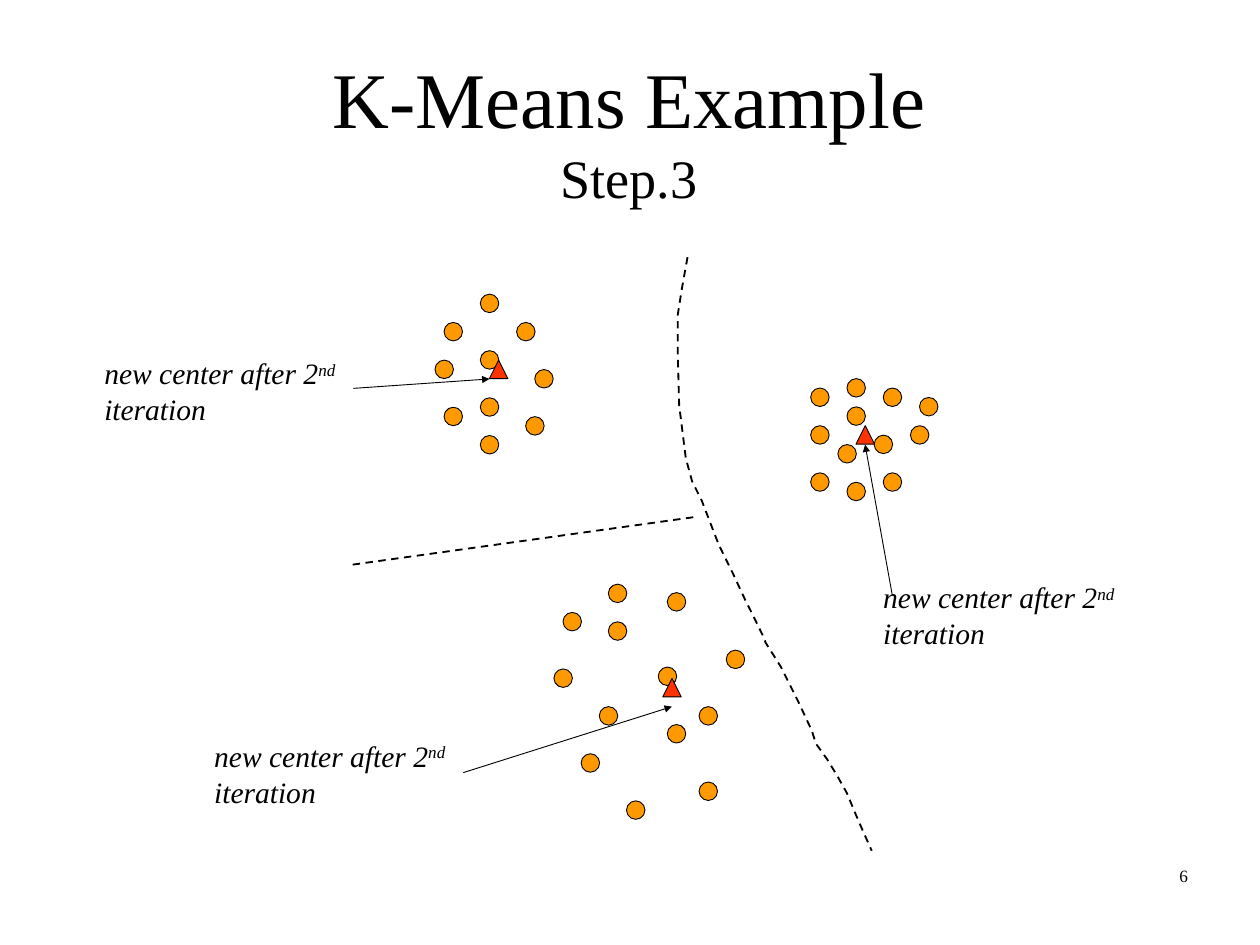
import lxml.etree
import pptx
import pptx.dml.color
import pptx.enum.dml
import pptx.enum.shapes
import pptx.enum.text
import pptx.oxml.ns
import pptx.util

Cm = pptx.util.Cm
Pt = pptx.util.Pt
SHAPE = pptx.enum.shapes.MSO_SHAPE
ALIGN = pptx.enum.text.PP_ALIGN
ANCHOR = pptx.enum.text.MSO_ANCHOR
DASH = pptx.enum.dml.MSO_LINE.DASH

BLACK = pptx.dml.color.RGBColor(0x00, 0x00, 0x00)
ORANGE = pptx.dml.color.RGBColor(0xFF, 0x99, 0x00)
RED = pptx.dml.color.RGBColor(0xFF, 0x33, 0x00)
FONT = "Times New Roman"

# Data points sit on a fine grid; a marker spans two steps
STEP_X, STEP_Y = 0.26, 0.27
MARKER = 0.53

# Each cluster: origin in cm, then grid positions of its points, center and arrow
CLUSTERS = [
    {"origin": (12.47, 8.43), "center": (6, 7), "arrow": ((-9, 10), (6, 9)),
     "label": (2.74, 10.06),
     "points": [(5, 0), (1, 3), (9, 3), (5, 6), (0, 7), (11, 8), (5, 11),
                (5, 15), (1, 12), (10, 13)]},
    {"origin": (23.24, 10.85), "center": (5, 5), "arrow": ((9, 23), (6, 7)),
     "label": (25.07, 16.48),
     "points": [(4, 0), (0, 1), (8, 1), (4, 3), (0, 5), (3, 7), (0, 10),
                (4, 11), (12, 2), (7, 6), (11, 5), (8, 10)]},
    {"origin": (15.88, 16.74), "center": (12, 10), "arrow": ((-10, 20), (13, 13)),
     "label": (5.89, 21.03),
     "points": [(6, 0), (12.5, 0.9), (6, 4), (1, 3), (0, 9), (11.5, 8.8), (19, 7),
                (5, 13), (16, 13), (12.5, 14.9), (3, 18), (8, 23), (16, 21)]},
]

# Boundaries, in cm from the corner of their box
SEPARATOR = ((0.11, 9.18), (9.96, 7.81))
CURVE = [(9.71, 0.37), (9.55, 1.26), (9.43, 2.02), (9.43, 3.13), (9.47, 4.61),
         (9.66, 6.13), (9.84, 6.79), (10.12, 7.35), (10.6, 8.6), (11.01, 9.43),
         (11.39, 10.25), (11.56, 10.58), (11.89, 11.26), (11.95, 11.42),
         (12.38, 12.1), (12.89, 13.12), (13.27, 13.93), (13.39, 14.31),
         (13.72, 14.77), (14, 15.23), (14.28, 15.73), (14.49, 16.24),
         (14.71, 16.75), (14.99, 17.38)]


def format_span(span, size, italic=False):
    span.font.name = FONT
    span.font.size = Pt(size)
    span.font.italic = italic
    span.font.color.rgb = BLACK


def add_line(page, start, end, width):
    line = page.shapes.add_connector(
        pptx.enum.shapes.MSO_CONNECTOR.STRAIGHT,
        Cm(start[0]), Cm(start[1]), Cm(end[0]), Cm(end[1]))
    line.line.color.rgb = BLACK
    line.line.width = Pt(width)
    properties = line._element.spPr
    lxml.etree.SubElement(properties, pptx.oxml.ns.qn("a:effectLst"))
    return line


def add_marker(page, kind, left, top, color):
    marker = page.shapes.add_shape(kind, Cm(left), Cm(top), Cm(MARKER), Cm(MARKER))
    marker.shadow.inherit = False
    marker.fill.solid()
    marker.fill.fore_color.rgb = color
    marker.line.color.rgb = BLACK
    marker.line.width = Pt(0.75)


def add_text_box(page, left, top, width, height):
    box = page.shapes.add_textbox(Cm(left), Cm(top), Cm(width), Cm(height))
    box.text_frame.word_wrap = True
    return box.text_frame.paragraphs[0]


def add_title(page, left, top, width, height):
    title = page.shapes.title
    title.left, title.top = Cm(left), Cm(top)
    title.width, title.height = Cm(width), Cm(height)
    frame = title.text_frame
    frame.text = "K-Means Example\vStep.3"
    frame.auto_size = pptx.enum.text.MSO_AUTO_SIZE.NONE
    frame.vertical_anchor = ANCHOR.MIDDLE
    para = frame.paragraphs[0]
    para.alignment = ALIGN.CENTER
    for span, size in zip(para.runs, (64, 44)):
        format_span(span, size)


def add_boundaries(page, left, top):
    start, end = [(left + x, top + y) for x, y in SEPARATOR]
    add_line(page, start, end, 1.5).line.dash_style = DASH

    points = [(Cm(left + x), Cm(top + y)) for x, y in CURVE]
    builder = page.shapes.build_freeform(*points[0])
    builder.add_line_segments(points[1:], close=False)
    curve = builder.convert_to_shape()
    curve.shadow.inherit = False
    curve.fill.background()
    curve.line.color.rgb = BLACK
    curve.line.width = Pt(1.5)
    curve.line.dash_style = DASH


def add_label(page, left, top):
    para = add_text_box(page, left, top, 8.28, 2.29)
    para.space_before = Pt(15)
    for text in ("new center after 2", "nd", " iteration"):
        span = para.add_run()
        span.text = text
        format_span(span, 24, italic=True)
    para.runs[1].font._element.set("baseline", "30000")


def add_cluster(page, cluster):
    left, top = cluster["origin"]

    def place(position):
        return left + position[0] * STEP_X, top + position[1] * STEP_Y

    # Data points and their new center
    for point in cluster["points"]:
        add_marker(page, SHAPE.FLOWCHART_CONNECTOR, *place(point), ORANGE)
    add_marker(page, SHAPE.ISOSCELES_TRIANGLE, *place(cluster["center"]), RED)

    # Label with an arrow to the center
    add_label(page, *cluster["label"])
    start, end = cluster["arrow"]
    arrow = add_line(page, place(start), place(end), 0.75)
    outline = arrow._element.spPr.find(pptx.oxml.ns.qn("a:ln"))
    lxml.etree.SubElement(outline, pptx.oxml.ns.qn("a:tailEnd"), type="triangle")


def add_page_number(page, left, top, width, height):
    para = add_text_box(page, left, top, width, height)
    para.text = "6"
    para.alignment = ALIGN.RIGHT
    format_span(para.runs[0], 14)


def main():
    deck = pptx.Presentation()
    deck.slide_width, deck.slide_height = Cm(36.12), Cm(27.08)
    page = deck.slides.add_slide(deck.slide_layouts.get_by_name("Title Only"))
    add_title(page, 2.74, 1.55, 30.58, 4.3)
    add_boundaries(page, 10, 7)
    for cluster in CLUSTERS:
        add_cluster(page, cluster)
    add_page_number(page, 25.88, 24.66, 8.43, 1.88)
    deck.save("out.pptx")


if __name__ == "__main__":
    main()
